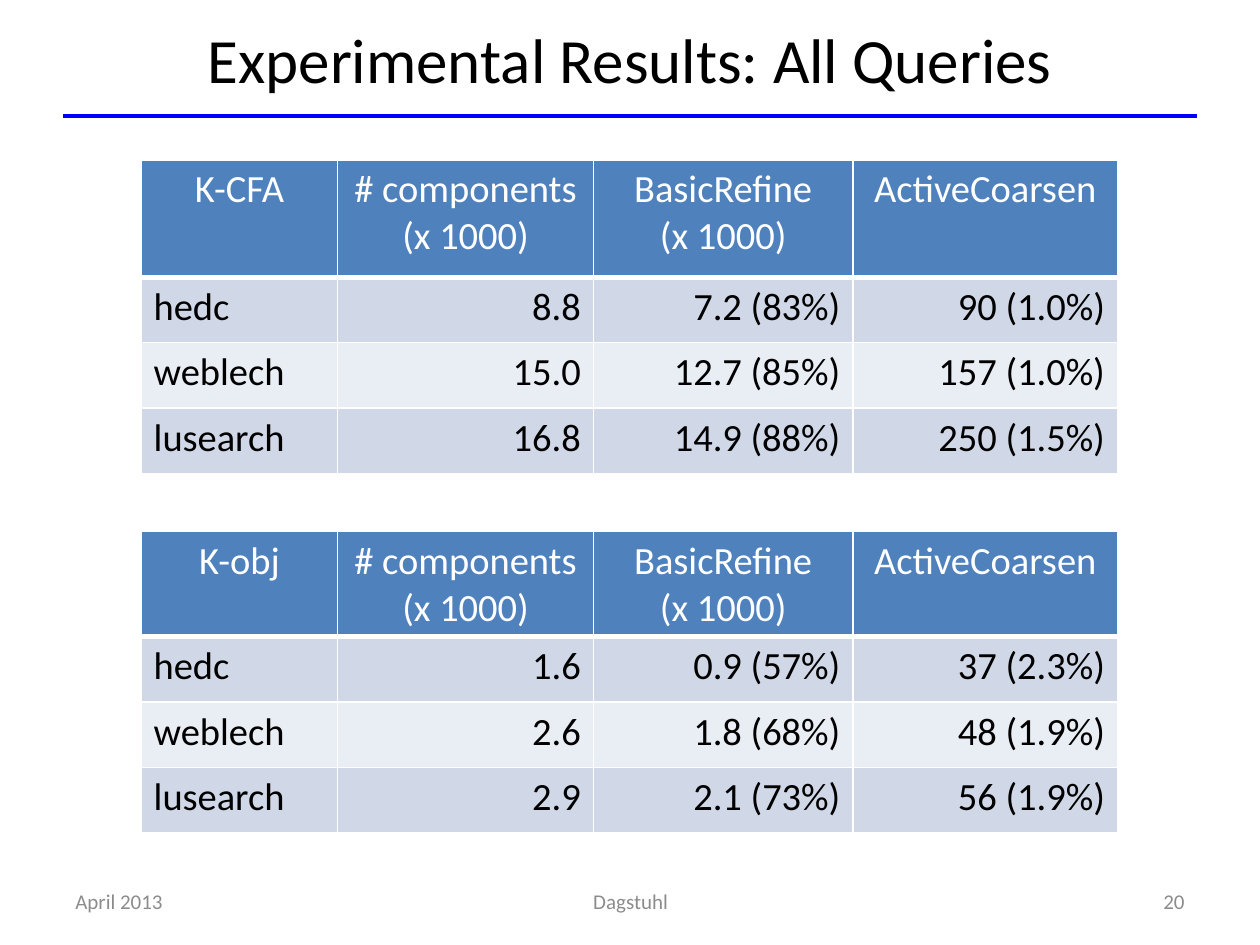
from lxml import etree
from pptx import Presentation
from pptx import util as u
from pptx.dml.color import RGBColor
from pptx.enum import shapes, text
from pptx.oxml import ns

COLORS = {
    "black": "000000", "white": "FFFFFF", "rule": "0000FF", "footer": "8C8C8C",
    "header": "4F81BD", "odd": "D0D8E8", "even": "E9EDF4",
}
FONT = "Calibri"
LEFT, CENTER, RIGHT = text.PP_ALIGN.LEFT, text.PP_ALIGN.CENTER, text.PP_ALIGN.RIGHT
COLUMNS = [1.56, 2.03, 2.06, 2.1]
HEADINGS = ["# components\n(x 1000)", "BasicRefine\n(x 1000)", "ActiveCoarsen"]
BODY_ROW = 0.52

K_CFA = [
    ["hedc", "8.8", "7.2 (83%)", "90 (1.0%)"],
    ["weblech", "15.0", "12.7 (85%)", "157 (1.0%)"],
    ["lusearch", "16.8", "14.9 (88%)", "250 (1.5%)"],
]
K_OBJ = [
    ["hedc", "1.6", "0.9 (57%)", "37 (2.3%)"],
    ["weblech", "2.6", "1.8 (68%)", "48 (1.9%)"],
    ["lusearch", "2.9", "2.1 (73%)", "56 (1.9%)"],
]


class SlideBuilder:
    def __init__(self, slide):
        self.s = slide

    def color(self, name):
        return RGBColor.from_string(COLORS[name])

    def set_text(self, tf, words, size, color, align):
        p = tf.paragraphs[0]
        p.text = words
        p.alignment = align
        p.font.name = FONT
        p.font.size = u.Pt(size)
        p.font.bold = False
        p.font.color.rgb = self.color(color)

    def text_box(self, x, y, w, h, words, size, color, align):
        sp = self.s.shapes.add_textbox(*map(u.Inches, (x, y, w, h)))
        tf = sp.text_frame
        tf.word_wrap = True
        tf.vertical_anchor = text.MSO_ANCHOR.MIDDLE
        self.set_text(tf, words, size, color, align)

    def line(self, x1, y1, x2, y2, color, width):
        cx = self.s.shapes.add_connector(
            shapes.MSO_CONNECTOR.STRAIGHT, *map(u.Inches, (x1, y1, x2, y2)))
        cx.line.color.rgb = self.color(color)
        cx.line.width = u.Pt(width)
        etree.SubElement(cx._element.spPr, ns.qn("a:effectLst"))

    def borders(self, cell, top, bottom):
        """Draw white cell edges; top and bottom are widths in points."""
        tc_pr = cell._tc.get_or_add_tcPr()
        edges = {"lnL": 1, "lnR": 1, "lnT": top, "lnB": bottom}
        for i, (edge, width) in enumerate(edges.items()):
            ln = etree.Element(ns.qn("a:" + edge), w=str(u.Pt(width)))
            fill = etree.SubElement(ln, ns.qn("a:solidFill"))
            etree.SubElement(fill, ns.qn("a:srgbClr"), val=COLORS["white"])
            tc_pr.insert(i, ln)

    def table(self, x, y, header_height, name, body):
        rows = [[name] + HEADINGS] + body
        heights = [header_height] + [BODY_ROW] * len(body)
        frame = self.s.shapes.add_table(
            len(rows), len(COLUMNS),
            *map(u.Inches, (x, y, sum(COLUMNS), sum(heights))))
        table = frame.table
        for column, width in zip(table.columns, COLUMNS):
            column.width = u.Inches(width)
        for i, (row, height) in enumerate(zip(rows, heights)):
            table.rows[i].height = u.Inches(height)
            header = i == 0
            fill = "header" if header else "odd" if i % 2 else "even"
            for j, words in enumerate(row):
                cell = table.cell(i, j)
                cell.fill.solid()
                cell.fill.fore_color.rgb = self.color(fill)
                self.borders(cell, 3 if i == 1 else 1, 3 if header else 1)
                align = CENTER if header else RIGHT if j else LEFT
                self.set_text(cell.text_frame, words, 22,
                              "white" if header else "black", align)


def main():
    prs = Presentation()
    prs.slide_width, prs.slide_height = u.Inches(10), u.Inches(7.5)
    b = SlideBuilder(prs.slides.add_slide(prs.slide_layouts[6]))

    b.line(0.5, 0.92, 9.5, 0.92, "rule", 2.25)
    b.text_box(0.5, 0, 9, 0.92, "Experimental Results: All Queries", 36, "black", CENTER)
    b.table(1.12, 1.27, 0.93, "K-CFA", K_CFA)
    b.table(1.12, 4.22, 0.73, "K-obj", K_OBJ)
    for x, width, words, align in [
        (0.5, 2.33, "April 2013", LEFT),
        (3.42, 3.17, "Dagstuhl", CENTER),
        (7.17, 2.33, "20", RIGHT),
    ]:
        b.text_box(x, 6.95, width, 0.4, words, 12, "footer", align)

    prs.save("out.pptx")


if __name__ == "__main__":
    main()
